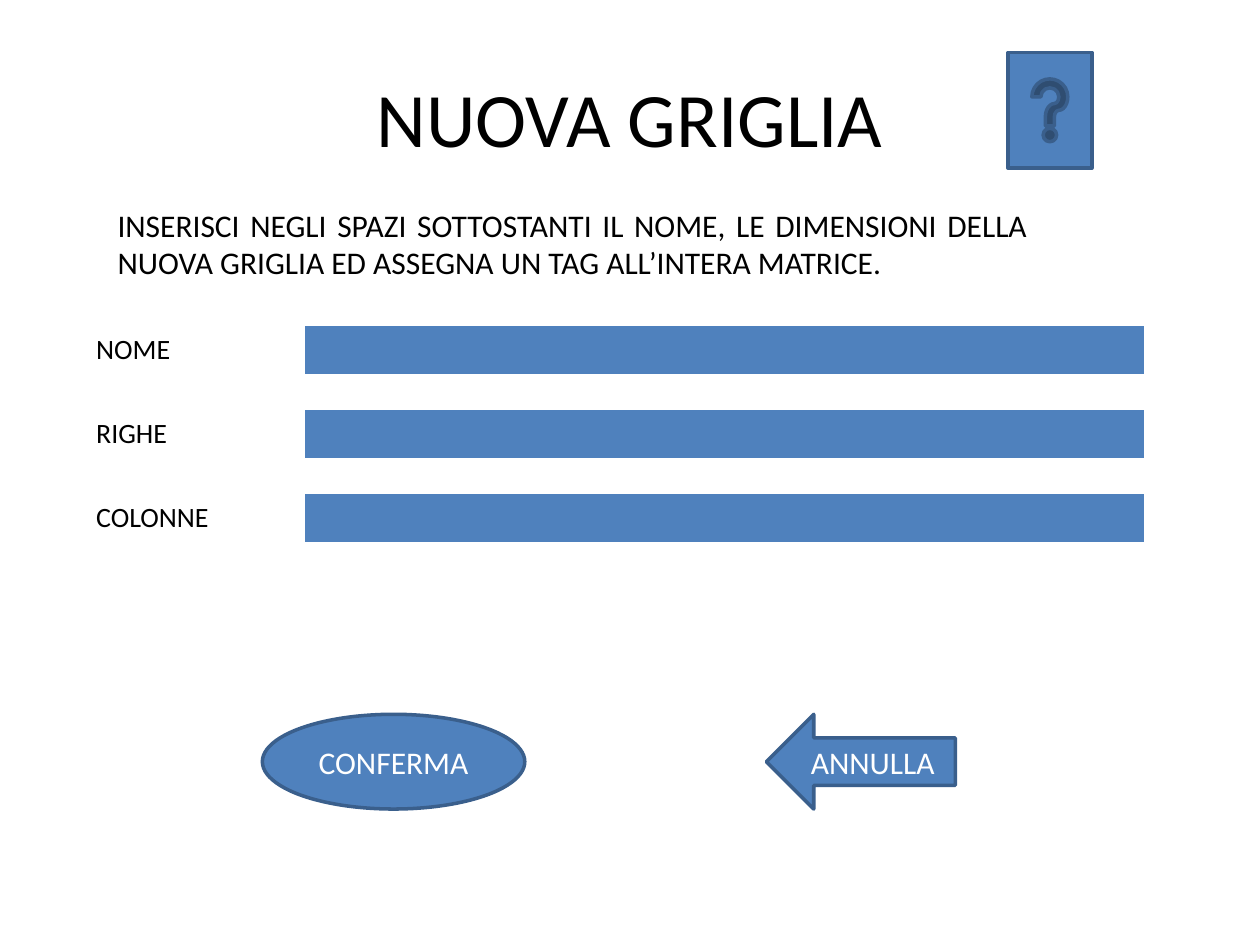
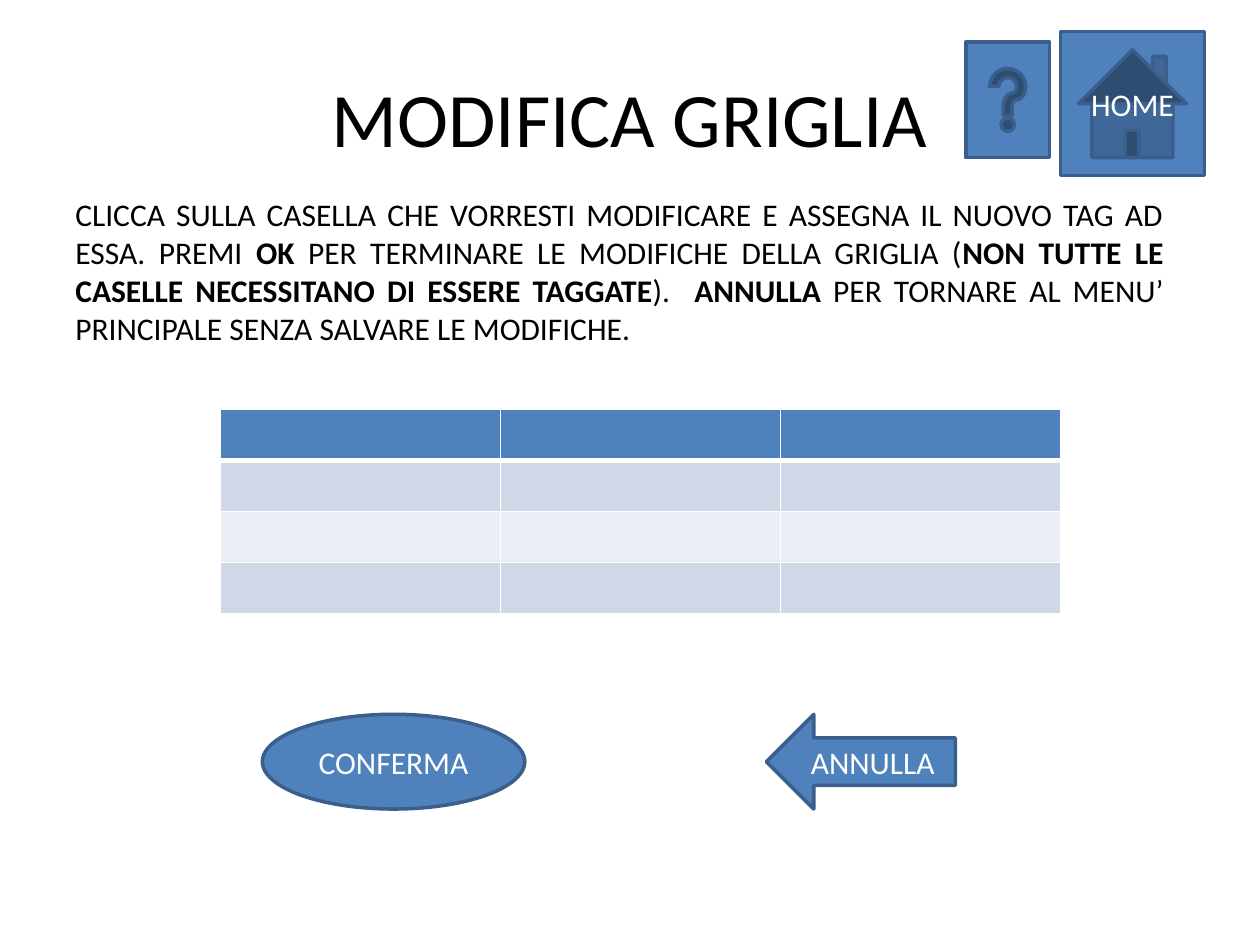
"""Build the two grid screens: new grid and edit grid."""
from lxml.etree import SubElement
from pptx import Presentation
from pptx.dml.color import RGBColor
from pptx.enum.shapes import MSO_SHAPE as Shape
from pptx.enum.text import MSO_ANCHOR as Anchor, PP_ALIGN as Align
from pptx.oxml.ns import qn
from pptx.util import Cm, Pt

colour = RGBColor.from_string
BLUE, EDGE, WHITE, BLACK = "4F81BD", "3A5F8C", "FFFFFF", "000000"
BANDS = ["D0D8E8", "E9EDF4"]


def write(shape, runs, size, ink=BLACK, align=Align.LEFT, anchor=Anchor.TOP):
    frame = shape.text_frame
    frame.word_wrap = True
    frame.vertical_anchor = anchor
    para = frame.paragraphs[0]
    para.alignment = align
    for text, bold in runs:
        span = para.add_run()
        span.text = text
        span.font.name = "Calibri"
        span.font.size = Pt(size)
        span.font.bold = bold
        span.font.color.rgb = colour(ink)


def add_grid(page, left, top, rows, columns):
    width, row_height = 16.93, 1.03
    grid = page.shapes.add_table(rows, columns, Cm(left), Cm(top),
                                 Cm(width), Cm(row_height * rows)).table
    for row in range(rows):
        for column in range(columns):
            cell = grid.cell(row, column)
            cell.fill.solid()
            cell.fill.fore_color.rgb = colour(BANDS[(row - 1) % 2] if row else BLUE)
            props = cell._tc.get_or_add_tcPr()
            for place, side in enumerate(["lnL", "lnR", "lnT", "lnB"]):
                heavy = (side == "lnB" and row == 0) or (side == "lnT" and row == 1)
                border = SubElement(props, qn("a:" + side), w=str(Pt(3 if heavy else 1)))
                paint = SubElement(border, qn("a:solidFill"))
                SubElement(paint, qn("a:srgbClr"), val=WHITE)
                props.insert(place, border)


deck = Presentation()
deck.slide_width, deck.slide_height = Cm(25.4), Cm(19.05)

shared_buttons = [
    (Shape.LEFT_ARROW, "ANNULLA", 15.45, 14.4, 3.81, 1.91),
    (Shape.OVAL, "CONFERMA", 5.29, 14.4, 5.29, 1.91),
]
screens = [
    ("NUOVA GRIGLIA", (2.12, 4.02, 18.85, 1.8), [
        ("INSERISCI NEGLI SPAZI SOTTOSTANTI IL NOME, LE DIMENSIONI DELLA "
         "NUOVA GRIGLIA ED ASSEGNA UN TAG ALL’INTERA MATRICE.", False),
    ], [
        (Shape.ACTION_BUTTON_HELP, "", 20.32, 1.06, 1.69, 2.33),
    ]),
    ("MODIFICA GRIGLIA", (1.27, 3.81, 22.44, 3.33), [
        ("CLICCA SULLA CASELLA CHE VORRESTI MODIFICARE E ASSEGNA IL NUOVO "
         "TAG AD ESSA. PREMI ", False),
        ("OK", True),
        (" PER TERMINARE LE MODIFICHE DELLA GRIGLIA (", False),
        ("NON TUTTE LE CASELLE NECESSITANO DI ESSERE TAGGATE", True),
        (").  ", False),
        ("ANNULLA ", True),
        ("PER TORNARE AL MENU’ PRINCIPALE SENZA SALVARE LE MODIFICHE.", False),
    ], [
        (Shape.ACTION_BUTTON_HOME, "HOME", 21.38, 0.64, 2.9, 2.9),
        (Shape.ACTION_BUTTON_HELP, "", 19.47, 0.85, 1.69, 2.33),
    ]),
]

pages = []
for title, place, instructions, own_buttons in screens:
    page = deck.slides.add_slide(deck.slide_layouts[6])
    pages.append(page)
    box = page.shapes.add_textbox(Cm(1.27), Cm(0.76), Cm(22.86), Cm(3.18))
    write(box, [(title, False)], 44, align=Align.CENTER, anchor=Anchor.MIDDLE)
    box = page.shapes.add_textbox(*[Cm(length) for length in place])
    write(box, instructions, 18, align=Align.JUSTIFY)
    for kind, label, *place in shared_buttons + own_buttons:
        button = page.shapes.add_shape(kind, *[Cm(length) for length in place])
        button.shadow.inherit = False
        button.fill.solid()
        button.fill.fore_color.rgb = colour(BLUE)
        button.line.color.rgb = colour(EDGE)
        button.line.width = Pt(2)
        if label:
            write(button, [(label, False)], 18, WHITE, Align.CENTER, Anchor.MIDDLE)

new_page, edit_page = pages
for index, field in enumerate(["NOME", "RIGHE", "COLONNE"]):
    top = 6.56 + 1.69 * index
    box = new_page.shapes.add_textbox(Cm(1.69), Cm(top), Cm(3.81), Cm(0.94))
    write(box, [(field, False)], 16)
    add_grid(new_page, 6.14, top, 1, 1)

add_grid(edit_page, 4.45, 8.25, 4, 3)

deck.save("out.pptx")
